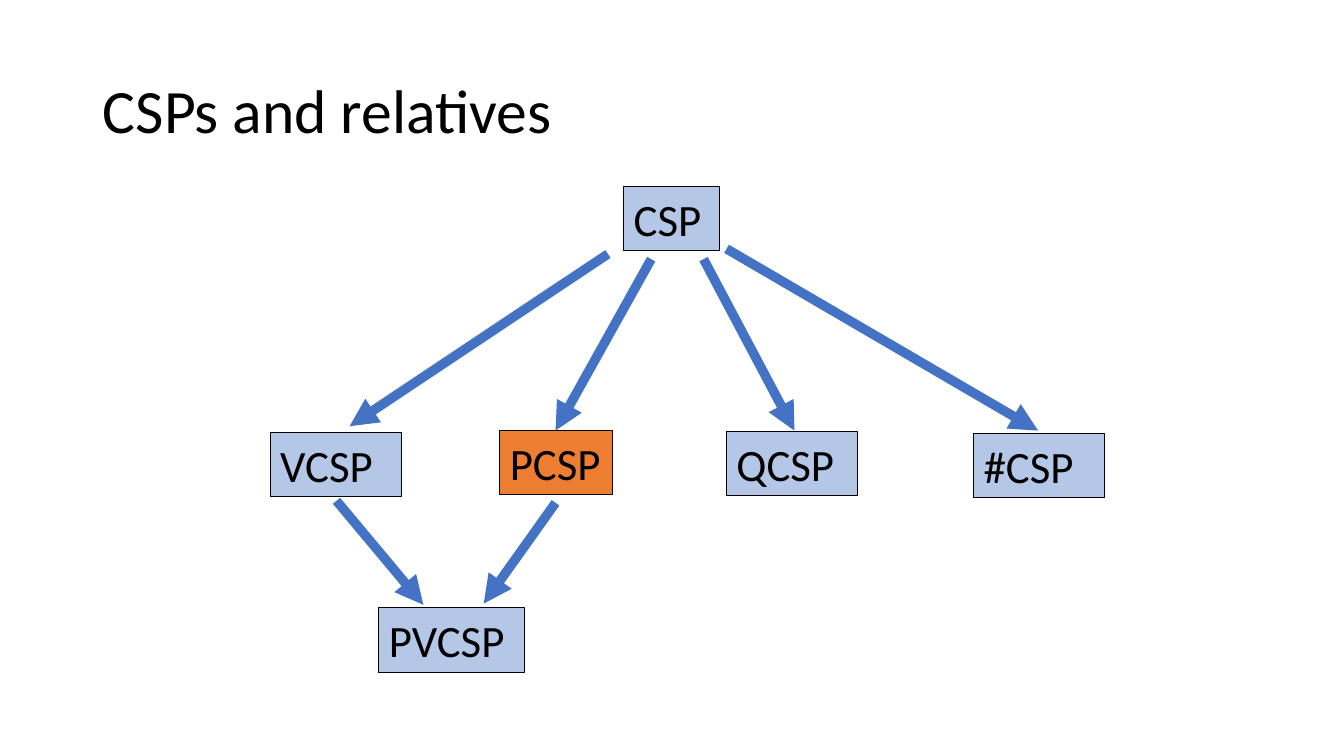
"""Build a slide with a diagram of CSPs and related problems."""
from lxml.etree import SubElement
from pptx import Presentation
from pptx.dml.color import RGBColor
from pptx.enum.shapes import MSO_CONNECTOR as Connector, MSO_SHAPE as Shape
from pptx.enum.text import MSO_ANCHOR as Anchor, MSO_AUTO_SIZE as AutoSize, PP_ALIGN as Align
from pptx.oxml.ns import qn
from pptx.util import Cm, Pt

BLACK = RGBColor(0x00, 0x00, 0x00)
LIGHT_BLUE = RGBColor(0xB4, 0xC7, 0xE7)
ORANGE = RGBColor(0xED, 0x7D, 0x31)
ARROW_BLUE = RGBColor(0x44, 0x72, 0xC4)
FONT = "Calibri"
BOX_HEIGHT = 1.62

PROBLEMS = [
    ("CSP", 15.72, 4.7, 2.41, LIGHT_BLUE),
    ("VCSP", 6.81, 10.9, 3.3, LIGHT_BLUE),
    ("PCSP", 12.6, 10.85, 2.83, ORANGE),
    ("QCSP", 18.31, 10.87, 3.3, LIGHT_BLUE),
    ("#CSP", 24.54, 10.92, 3.3, LIGHT_BLUE),
    ("PVCSP", 9.55, 15.32, 3.66, LIGHT_BLUE),
]
ARROWS = [
    (15.32, 6.4, 8.81, 10.74),
    (16.41, 6.53, 14, 10.85),
    (17.73, 6.53, 20.02, 10.85),
    (18.31, 6.27, 26.16, 10.85),
    (14, 12.67, 12.19, 15.21),
    (8.48, 12.62, 10.67, 15.24),
]


def format_paragraph(paragraph, size):
    paragraph.alignment = Align.LEFT
    paragraph.font.name = FONT
    paragraph.font.size = Pt(size)
    paragraph.font.color.rgb = BLACK


presentation = Presentation()
presentation.slide_width = Cm(33.87)
presentation.slide_height = Cm(19.05)
slide = presentation.slides.add_slide(presentation.slide_layouts[5])

title = slide.shapes.title
title.left, title.top, title.width, title.height = Cm(2.34), Cm(1.02), Cm(29.21), Cm(3.68)
title.text_frame.text = "CSPs and relatives"
title.text_frame.vertical_anchor = Anchor.MIDDLE
title.text_frame.paragraphs[0].line_spacing = 0.9
format_paragraph(title.text_frame.paragraphs[0], 44)

for label, left, top, width, color in PROBLEMS:
    box = slide.shapes.add_shape(Shape.RECTANGLE, Cm(left), Cm(top), Cm(width), Cm(BOX_HEIGHT))
    box.shadow.inherit = False
    box.fill.solid()
    box.fill.fore_color.rgb = color
    box.line.color.rgb = BLACK
    box.line.width = Pt(0.75)
    frame = box.text_frame
    frame.text = label
    frame.word_wrap = True
    frame.auto_size = AutoSize.SHAPE_TO_FIT_TEXT
    frame.vertical_anchor = Anchor.TOP
    format_paragraph(frame.paragraphs[0], 32)

for start_x, start_y, end_x, end_y in ARROWS:
    arrow = slide.shapes.add_connector(
        Connector.STRAIGHT, Cm(start_x), Cm(start_y), Cm(end_x), Cm(end_y))
    arrow.line.color.rgb = ARROW_BLUE
    arrow.line.width = Pt(6.75)
    SubElement(arrow.line._get_or_add_ln(), qn("a:tailEnd"), type="triangle")
    SubElement(arrow._element.spPr, qn("a:effectLst"))

presentation.save("out.pptx")
